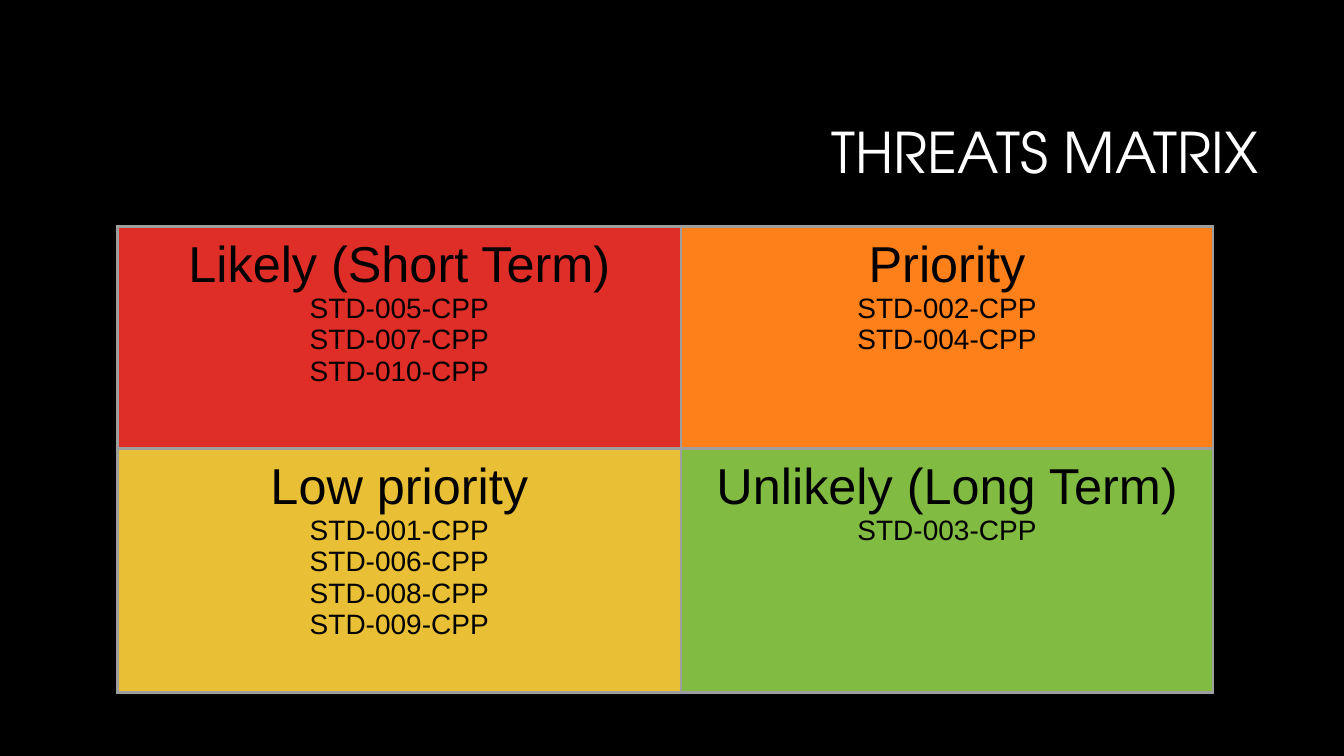
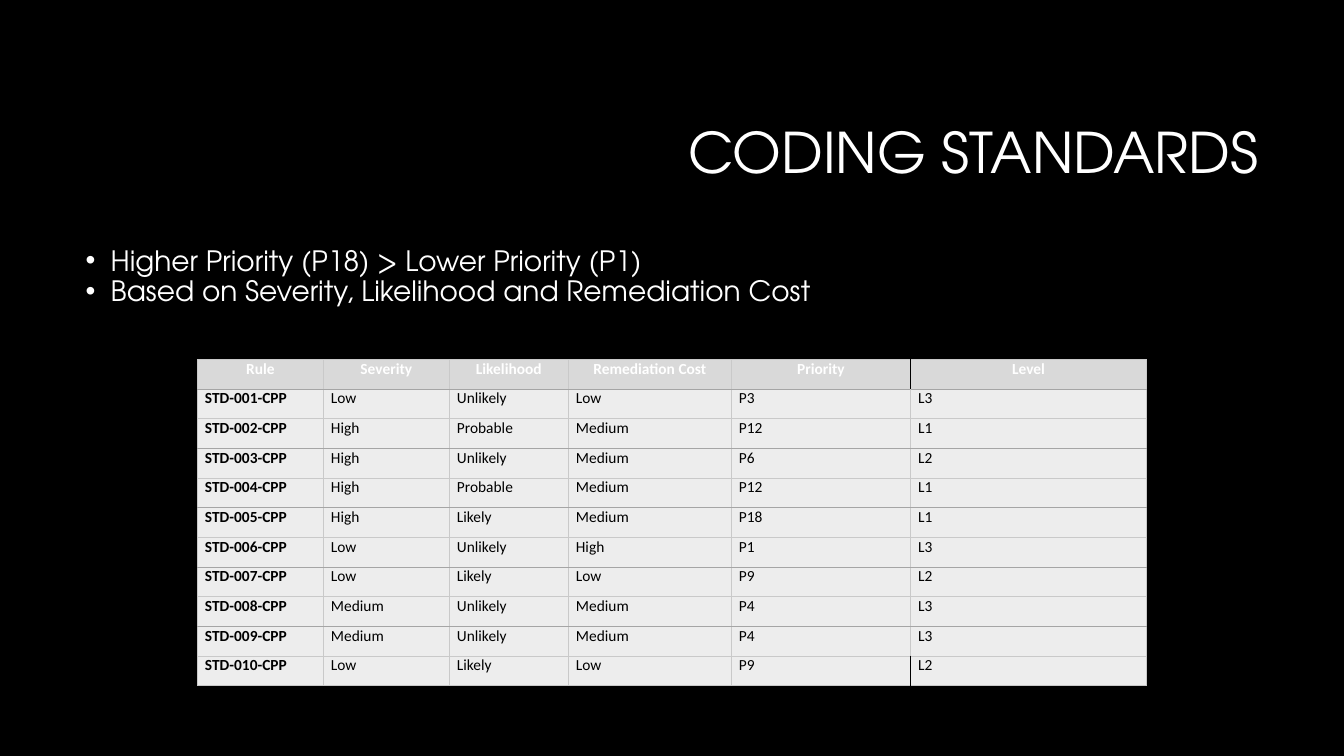
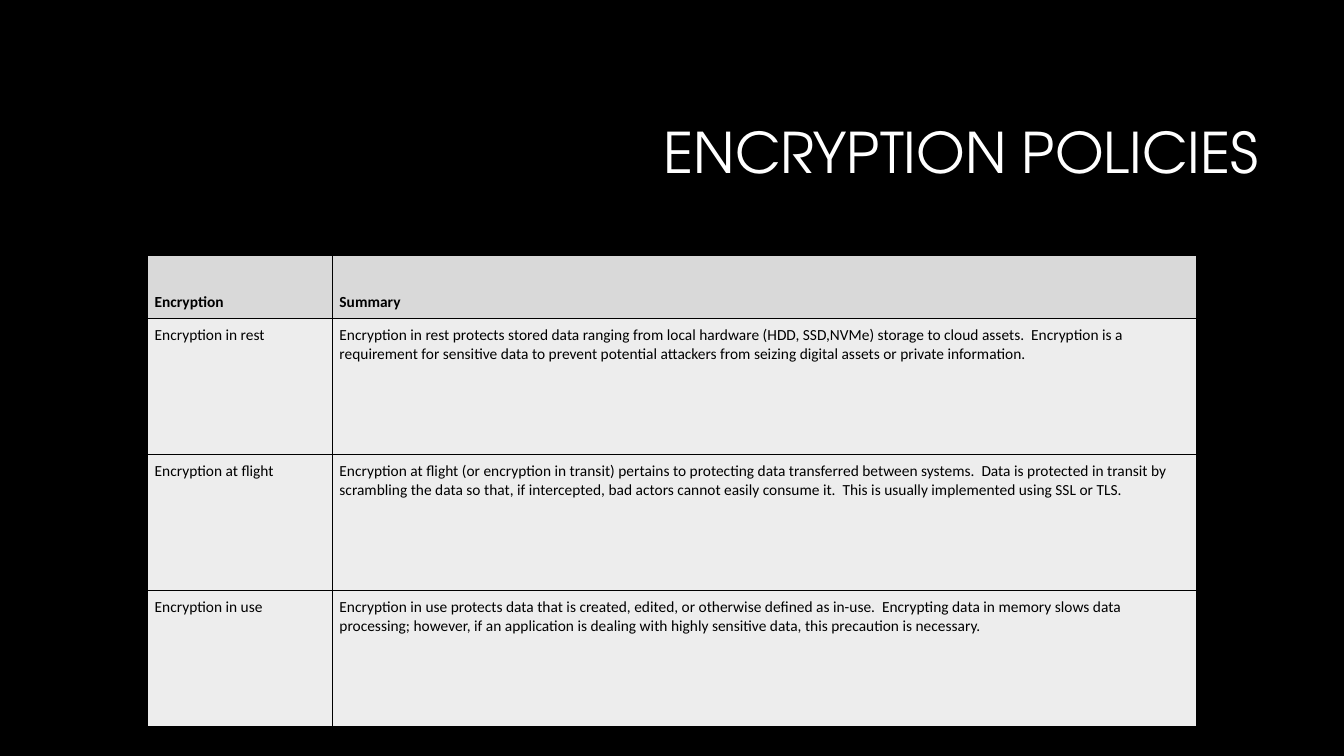
import dataclasses

import pptx
import pptx.dml.color
import pptx.enum.text
import pptx.oxml
import pptx.oxml.ns
import pptx.util

Pt = pptx.util.Pt
ALIGN = pptx.enum.text.PP_ALIGN
ANCHOR = pptx.enum.text.MSO_ANCHOR


@dataclasses.dataclass(frozen=True)
class Theme:
    black: str = "000000"
    white: str = "FFFFFF"
    red: str = "DF2E28"
    orange: str = "FE801A"
    yellow: str = "E9BF35"
    green: str = "81BB42"
    header: str = "D9D9D9"
    row: str = "EDEDED"
    matrix_line: str = "9E9E9E"
    light_line: str = "C9C9C9"
    dark_line: str = "A5A5A5"
    display_font: str = "TeX Gyre Adventor"
    matrix_font: str = "Arial"
    table_font: str = "Calibri"
    title_size: float = 40
    heading_size: float = 36
    body_size: float = 20
    table_size: float = 11


THEME = Theme()

QUADRANTS = [
    [("Likely (Short Term)", ["STD-005-CPP", "STD-007-CPP", "STD-010-CPP"], THEME.red),
     ("Priority", ["STD-002-CPP", "STD-004-CPP"], THEME.orange)],
    [("Low priority", ["STD-001-CPP", "STD-006-CPP", "STD-008-CPP", "STD-009-CPP"], THEME.yellow),
     ("Unlikely (Long Term)", ["STD-003-CPP"], THEME.green)],
]

STANDARDS = [
    ("Rule", "Severity", "Likelihood", "Remediation Cost", "Priority", "Level"),
    ("STD-001-CPP", "Low", "Unlikely", "Low", "P3", "L3"),
    ("STD-002-CPP", "High", "Probable", "Medium", "P12", "L1"),
    ("STD-003-CPP", "High", "Unlikely", "Medium", "P6", "L2"),
    ("STD-004-CPP", "High", "Probable", "Medium", "P12", "L1"),
    ("STD-005-CPP", "High", "Likely", "Medium", "P18", "L1"),
    ("STD-006-CPP", "Low", "Unlikely", "High", "P1", "L3"),
    ("STD-007-CPP", "Low", "Likely", "Low", "P9", "L2"),
    ("STD-008-CPP", "Medium", "Unlikely", "Medium", "P4", "L3"),
    ("STD-009-CPP", "Medium", "Unlikely", "Medium", "P4", "L3"),
    ("STD-010-CPP", "Low", "Likely", "Low", "P9", "L2"),
]

POLICIES = [
    ("Encryption", "Summary"),
    ("Encryption in rest",
     "Encryption in rest protects stored data ranging from local hardware (HDD, SSD,NVMe) "
     "storage to cloud assets.  Encryption is a requirement for sensitive data to prevent "
     "potential attackers from seizing digital assets or private information."),
    ("Encryption at flight",
     "Encryption at flight (or encryption in transit) pertains to protecting data transferred "
     "between systems.  Data is protected in transit by scrambling the data so that, if "
     "intercepted, bad actors cannot easily consume it.  This is usually implemented using "
     "SSL or TLS."),
    ("Encryption in use",
     "Encryption in use protects data that is created, edited, or otherwise defined as in-use.  "
     "Encrypting data in memory slows data processing; however, if an application is dealing "
     "with highly sensitive data, this precaution is necessary."),
]


def rgb(color):
    return pptx.dml.color.RGBColor.from_string(color)


def add_text(tf, text, *, font, size, color, bold=False, align=ALIGN.LEFT, spacing=None):
    p = tf.add_paragraph() if tf.text else tf.paragraphs[0]
    p.alignment = align
    p.line_spacing = spacing
    r = p.add_run()
    r.text = text
    r.font.name = font
    r.font.size = Pt(size)
    r.font.bold = bold
    r.font.color.rgb = rgb(color)
    return p


def add_bullet(p, color, indent):
    pPr = p._p.get_or_add_pPr()
    pPr.set("marL", str(Pt(indent)))
    pPr.set("indent", str(Pt(-indent)))
    ns = pptx.oxml.ns.nsdecls("a")
    for xml in (f'<a:buClr {ns}><a:srgbClr val="{color}"/></a:buClr>',
                f'<a:buFont {ns} typeface="Arial"/>',
                f'<a:buChar {ns} char="•"/>'):
        pPr.append(pptx.oxml.parse_xml(xml))


def add_slide(prs, title):
    s = prs.slides.add_slide(prs.slide_layouts[5])
    sp = s.shapes.title
    sp.left, sp.top, sp.width, sp.height = Pt(228), Pt(60.5), Pt(678), Pt(101.5)
    tf = sp.text_frame
    tf.word_wrap = True
    tf.auto_size = pptx.enum.text.MSO_AUTO_SIZE.NONE
    tf.vertical_anchor = ANCHOR.MIDDLE
    add_text(tf, title, font=THEME.display_font, size=THEME.title_size,
             color=THEME.white, align=ALIGN.RIGHT, spacing=0.9)
    return s


def add_bullets(s, lines, left, top, width, height):
    tf = s.shapes.add_textbox(Pt(left), Pt(top), Pt(width), Pt(height)).text_frame
    tf.word_wrap = True
    for line in lines:
        p = add_text(tf, line, font=THEME.display_font, size=THEME.body_size,
                     color=THEME.white, spacing=0.9)
        add_bullet(p, THEME.white, 18)


def add_grid(s, left, top, widths, heights):
    table = s.shapes.add_table(len(heights), len(widths), Pt(left), Pt(top),
                               Pt(sum(widths)), Pt(sum(heights))).table
    table.first_row = False
    table.horz_banding = False
    for column, width in zip(table.columns, widths):
        column.width = Pt(width)
    for row, height in zip(table.rows, heights):
        row.height = Pt(height)
    return table


def format_cell(cell, fill, line, weight, margin_x, margin_y, **side_lines):
    cell.margin_left = cell.margin_right = Pt(margin_x)
    cell.margin_top = cell.margin_bottom = Pt(margin_y)
    tcPr = cell._tc.get_or_add_tcPr()
    for side in "LRTB":
        color, width = side_lines.get(side, (line, weight))
        tcPr.append(pptx.oxml.parse_xml(
            f'<a:ln{side} {pptx.oxml.ns.nsdecls("a")} w="{Pt(width)}"><a:solidFill>'
            f'<a:srgbClr val="{color}"/></a:solidFill></a:ln{side}>'))
    cell.fill.solid()
    cell.fill.fore_color.rgb = rgb(fill)


def build_matrix(prs):
    s = add_slide(prs, "THREATS MATRIX")
    table = add_grid(s, 84, 162, [402.5, 380], [158.5, 174])
    for i, row in enumerate(QUADRANTS):
        for j, (heading, rules, fill) in enumerate(row):
            cell = table.cell(i, j)
            format_cell(cell, fill, THEME.matrix_line, 2.25, 7.2, 7.2)
            sizes = [THEME.heading_size] + [THEME.body_size] * len(rules)
            for text, size in zip([heading, *rules], sizes):
                add_text(cell.text_frame, text, font=THEME.matrix_font, size=size,
                         color=THEME.black, align=ALIGN.CENTER)


def build_standards(prs):
    s = add_slide(prs, "CODING STANDARDS")
    add_bullets(s, ["Higher Priority (P18) > Lower Priority (P1)",
                    "Based on Severity, Likelihood and Remediation Cost"],
                54, 172.8, 852, 316.8)
    table = add_grid(s, 141, 256.8, [90, 90, 85, 116.5, 128, 168.5], [21.2] * len(STANDARDS))
    last = len(STANDARDS) - 1
    for i, row in enumerate(STANDARDS):
        header = i == 0
        for j, text in enumerate(row):
            cell = table.cell(i, j)
            sides = {}
            if i % 2:
                sides["T"] = (THEME.dark_line, 0.5)
            elif i < last:
                sides["B"] = (THEME.dark_line, 0.5)
            if i in (0, last) and j in (4, 5):
                sides["R" if j == 4 else "L"] = (THEME.black, 0.75)
            format_cell(cell, THEME.header if header else THEME.row,
                        THEME.light_line, 0.5, 5.4, 0, **sides)
            add_text(cell.text_frame, text, font=THEME.table_font, size=THEME.table_size,
                     color=THEME.white if header else THEME.black,
                     bold=header or j == 0,
                     align=ALIGN.CENTER if header else ALIGN.LEFT)


def build_policies(prs):
    s = add_slide(prs, "ENCRYPTION POLICIES")
    table = add_grid(s, 105.5, 182.5, [132, 617], [45] + [97.2] * 3)
    for i, row in enumerate(POLICIES):
        header = i == 0
        for j, text in enumerate(row):
            cell = table.cell(i, j)
            format_cell(cell, THEME.header if header else THEME.row, THEME.black, 1, 5, 5)
            cell.vertical_anchor = ANCHOR.BOTTOM if header else ANCHOR.TOP
            add_text(cell.text_frame, text, font=THEME.table_font, size=THEME.table_size,
                     color=THEME.black, bold=header)


def main():
    prs = pptx.Presentation()
    prs.slide_width, prs.slide_height = Pt(960), Pt(540)
    background = prs.slide_master.background.fill
    background.solid()
    background.fore_color.rgb = rgb(THEME.black)
    build_matrix(prs)
    build_standards(prs)
    build_policies(prs)
    prs.save("out.pptx")


if __name__ == "__main__":
    main()
